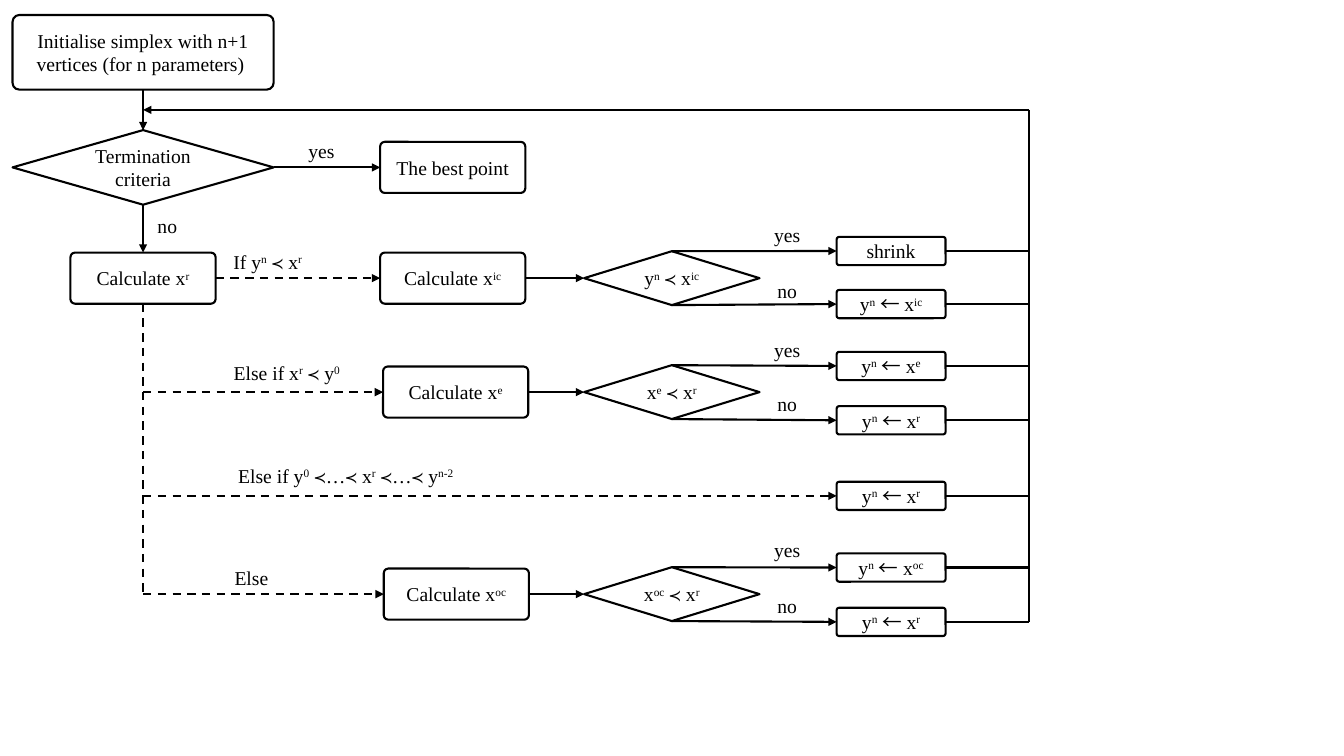
"""Flowchart of the simplex search: start, branches and the loop back."""
from lxml import etree
from pptx import Presentation
from pptx.dml.color import RGBColor
from pptx.enum.dml import MSO_LINE
from pptx.enum.shapes import MSO_CONNECTOR, MSO_SHAPE
from pptx.enum.text import MSO_ANCHOR, PP_ALIGN
from pptx.oxml.ns import qn
from pptx.util import Pt

BOX = MSO_SHAPE.ROUNDED_RECTANGLE
DECISION = MSO_SHAPE.FLOWCHART_DECISION
STRAIGHT = MSO_CONNECTOR.STRAIGHT
DASH = MSO_LINE.DASH
MIDDLE = MSO_ANCHOR.MIDDLE
CENTER = PP_ALIGN.CENTER
TOP, LEFT, BOTTOM, RIGHT = range(4)

COLORS = {"ink": "000000", "paper": "FFFFFF"}
INK = RGBColor.from_string(COLORS["ink"])
PAPER = RGBColor.from_string(COLORS["paper"])
FONT, ARROW_FONT = "Times New Roman", "Noto Sans CJK SC"

SPINE_X, DECISION_X, ACTION_X, RETURN_X = 102.2, 479.9, 636.5, 735.1
RETURN_Y = 78.5
START_SIZE = (186.5, 53.3)
STEP_SIZE = (103.7, 36.5)
DECISION_SIZE = (125.3, 38.5)
ACTION_SIZE = (77.8, 20.2)
LABEL_SIZE = (67.7, 24.5)

prs = Presentation()
prs.slide_width, prs.slide_height = Pt(960), Pt(540)
s = prs.slides.add_slide(prs.slide_layouts[6])


def add_text(text, x, y, dims=LABEL_SIZE, kind=None, size=14):
    """Centre a node or label on x, y; parts between ^ marks are raised."""
    w, h = dims
    frame = Pt(x - w / 2), Pt(y - h / 2), Pt(w), Pt(h)
    if kind is None:
        sp = s.shapes.add_textbox(*frame)
    else:
        sp = s.shapes.add_shape(kind, *frame)
        sp.shadow.inherit = False
        sp.fill.solid()
        sp.fill.fore_color.rgb = PAPER
        sp.line.color.rgb = INK
        sp.line.width = Pt(1.5)
        if kind == BOX:
            sp.adjustments[0] = 0.09
    tf = sp.text_frame
    tf.word_wrap = True
    tf.vertical_anchor = MIDDLE
    p = tf.paragraphs[0]
    p.alignment = CENTER
    for i, part in enumerate(text.split("^")):
        if not part:
            continue
        r = p.add_run()
        r.text = part
        r.font.size = Pt(size)
        r.font.color.rgb = INK
        r.font.name = FONT
        rpr = r._r.get_or_add_rPr()
        if i % 2:
            rpr.set("baseline", "30000")
        if part.startswith("←"):
            r.font.name = ARROW_FONT
            etree.SubElement(rpr, qn("a:ea")).set("typeface", ARROW_FONT)
    return sp


def link(start, end, dash=False, arrow=True):
    """Join two ends, each a point or a shape with its side number."""
    c = s.shapes.add_connector(STRAIGHT, 0, 0, 0, 0)
    if isinstance(start[0], float):
        c.begin_x, c.begin_y = Pt(start[0]), Pt(start[1])
    else:
        c.begin_connect(*start)
    if isinstance(end[0], float):
        c.end_x, c.end_y = Pt(end[0]), Pt(end[1])
    else:
        c.end_connect(*end)
    c.line.color.rgb = INK
    c.line.width = Pt(1.5)
    if dash:
        c.line.dash_style = DASH
    sp_pr = c._element.spPr
    if arrow:
        tail = etree.SubElement(sp_pr.find(qn("a:ln")), qn("a:tailEnd"))
        tail.set("type", "triangle")
    etree.SubElement(sp_pr, qn("a:effectLst"))


start = add_text("Initialise simplex with n+1 vertices (for n parameters) ",
                 SPINE_X, 37.4, START_SIZE, BOX)
termination = add_text("Termination criteria", SPINE_X, 119.6, START_SIZE, DECISION)
best = add_text("The best point", 323.4, 119.6, STEP_SIZE, BOX)
reflect = add_text("Calculate x^r", SPINE_X, 198.7, STEP_SIZE, BOX)
link((start, BOTTOM), (termination, TOP))
link((termination, BOTTOM), (reflect, TOP))
link((termination, RIGHT), (best, LEFT))
add_text("yes", 229.7, 107.5)
add_text("no", 119.5, 161.3)

# condition, its x, y and width, step, step x, row y, test, answers (label, label y, action, action y)
branches = [
    ("If y^n^ ≺ x^r^ ", 193, 187.2, 80, "Calculate x^ic", 323.4, 198.7, " y^n^ ≺ x^ic^ ",
     [("yes", 167.8, "shrink", 179.3), ("no", 207.7, "y^n^ ^^← ^^x^ic", 217.2)]),
    ("Else if x^r^ ≺ y^0^ ", 206.6, 266.4, 120, "Calculate x^e", 325.5, 280.1, " x^e^ ≺ x^r^ ",
     [("yes", 249.8, "y^n^ ^^← ^^x^e", 261.4), ("no", 288.4, "y^n^ ^^← ^^x^r", 300.2)]),
    ("Else if y^0^ ≺…≺ x^r^ ≺…≺ y^n-2^ ", 248.8, 339.8, 200, None, None, 354.2, None,
     [(None, None, "y^n^ ^^← ^^x^r", 354.2)]),
    ("Else", 179.6, 412.6, 60, "Calculate x^oc", 326, 424.4, " x^oc^ ≺ x^r^ ",
     [("yes", 392.8, "y^n^ ^^← ^^x^oc", 405.4), ("no", 432.7, "y^n^ ^^← ^^x^r", 444.2)]),
]
for condition, cond_x, cond_y, cond_w, step_text, step_x, row_y, test, answers in branches:
    add_text(condition, cond_x, cond_y, (cond_w, LABEL_SIZE[1]))
    origin = (reflect, RIGHT) if row_y == 198.7 else (SPINE_X, row_y)
    if step_text:
        step = add_text(step_text, step_x, row_y, STEP_SIZE, BOX)
        decision = add_text(test, DECISION_X, row_y, DECISION_SIZE, DECISION)
        link(origin, (step, LEFT), dash=True)
        link((step, RIGHT), (decision, LEFT))
    for answer, answer_y, action_text, action_y in answers:
        action = add_text(action_text, ACTION_X, action_y, ACTION_SIZE, BOX)
        link((action, RIGHT), (RETURN_X, action_y), arrow=False)
        if answer:
            add_text(answer, 562.3, answer_y)
            side = TOP if answer == "yes" else BOTTOM
            link((decision, side), (action, LEFT))
        else:
            link(origin, (action, LEFT), dash=True)

link((reflect, BOTTOM), (SPINE_X, 424.4), dash=True, arrow=False)
link((RETURN_X, RETURN_Y), (RETURN_X, 444.2), arrow=False)
link((RETURN_X, RETURN_Y), (SPINE_X, RETURN_Y))

prs.save("out.pptx")
